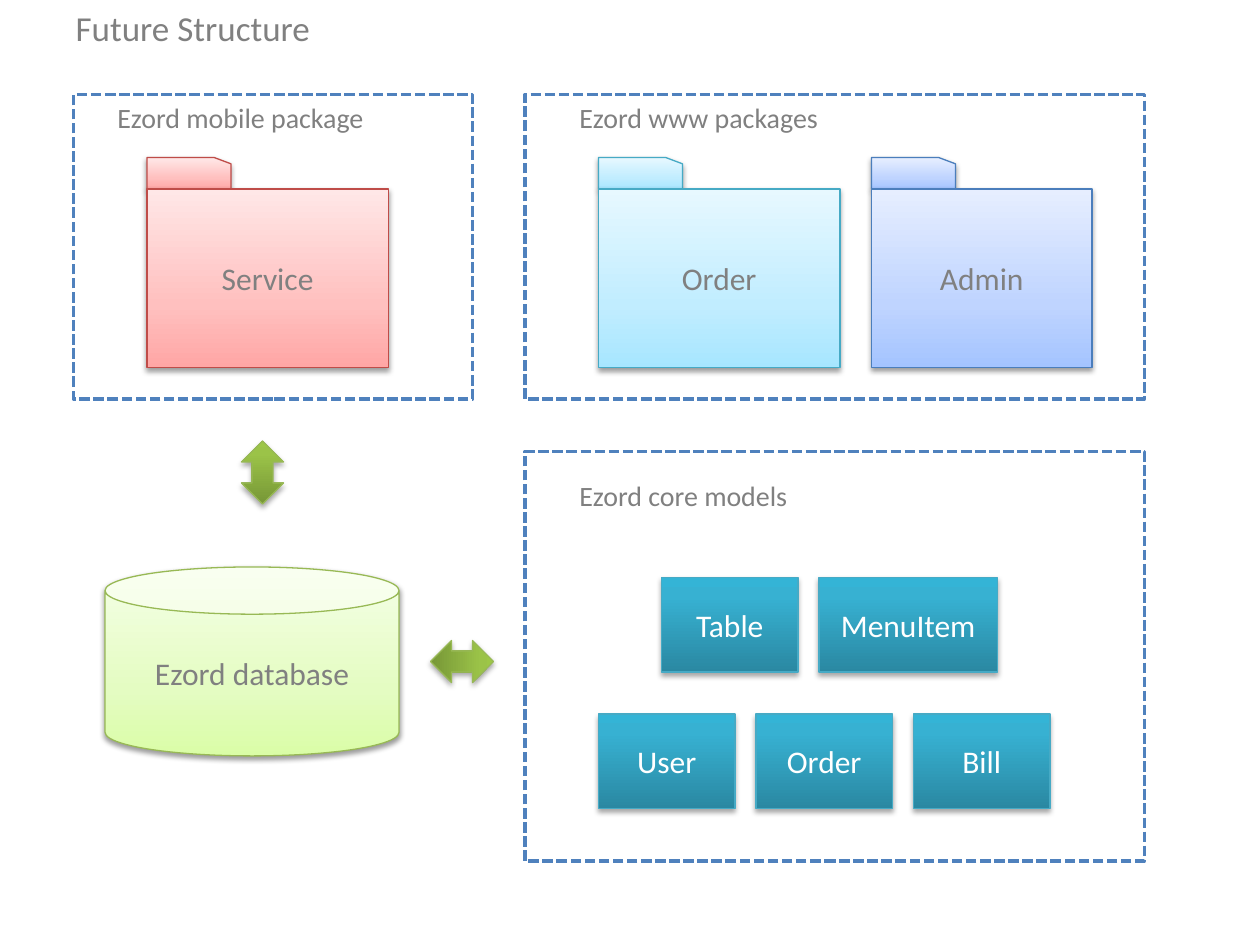
"""Build the Future Structure slide: packages, database and core models."""
import pptx
import pptx.dml.color
import pptx.enum.dml
import pptx.enum.shapes
import pptx.enum.text
import pptx.oxml
import pptx.oxml.ns
import pptx.util
from collections import namedtuple

RGBColor = pptx.dml.color.RGBColor
Shape = pptx.enum.shapes.MSO_SHAPE
Align = pptx.enum.text.PP_ALIGN
Anchor = pptx.enum.text.MSO_ANCHOR
AutoSize = pptx.enum.text.MSO_AUTO_SIZE
Pt = pptx.util.Pt
qn = pptx.oxml.ns.qn

EMU_PER_PX = 9525
FONT = "Calibri"
WHITE = RGBColor(0xFF, 0xFF, 0xFF)
GRAY = RGBColor(0x80, 0x80, 0x80)
FRAME_BLUE = RGBColor(0x4F, 0x81, 0xBD)
BLACK = RGBColor(0, 0, 0)

Style = namedtuple("Style", "stops line shadow_alpha shadow_distance")


def soft(bottom, middle, top, line):
    """Return a pale style with its gradient running from bottom to top."""
    return Style(((0, bottom), (35, middle), (100, top)), line, 38, 1.6)


def strong(bottom, middle, top, line):
    """Return a saturated style with its gradient running from bottom to top."""
    return Style(((0, bottom), (80, middle), (100, top)), line, 35, 1.8)


RED = soft(RGBColor(0xFF, 0xA6, 0xA5), RGBColor(0xFF, 0xC0, 0xBF),
           RGBColor(0xFF, 0xE7, 0xE7), RGBColor(0xBF, 0x4C, 0x48))
AQUA = soft(RGBColor(0xA7, 0xE6, 0xFF), RGBColor(0xC1, 0xED, 0xFF),
            RGBColor(0xE7, 0xF8, 0xFF), RGBColor(0x46, 0xAA, 0xC5))
BLUE = soft(RGBColor(0xA4, 0xC4, 0xFF), RGBColor(0xBF, 0xD4, 0xFF),
            RGBColor(0xE6, 0xEE, 0xFF), RGBColor(0x4B, 0x7E, 0xBC))
LIME = soft(RGBColor(0xDA, 0xFD, 0xA7), RGBColor(0xE4, 0xFC, 0xC2),
            RGBColor(0xF5, 0xFF, 0xE7), RGBColor(0x98, 0xB9, 0x55))
TEAL = strong(RGBColor(0x2A, 0x88, 0xA2), RGBColor(0x37, 0xB1, 0xD2),
              RGBColor(0x34, 0xB4, 0xD6), RGBColor(0x46, 0xAA, 0xC5))
GREEN = strong(RGBColor(0x77, 0x97, 0x37), RGBColor(0x9B, 0xC3, 0x48),
               RGBColor(0x9D, 0xC7, 0x46), RGBColor(0x98, 0xB9, 0x55))


def px(*lengths):
    """Turn pixel lengths into EMU."""
    return [pptx.util.Emu(length * EMU_PER_PX) for length in lengths]


def set_text(shape, text, size=18, color=GRAY, align=Align.CENTER,
             anchor=Anchor.MIDDLE, wrap=True, auto_size=AutoSize.NONE):
    """Write one formatted paragraph into a shape."""
    frame = shape.text_frame
    frame.word_wrap = wrap
    frame.auto_size = auto_size
    frame.vertical_anchor = anchor
    paragraph = frame.paragraphs[0]
    paragraph.alignment = align
    run = paragraph.add_run()
    run.text = text
    run.font.name = FONT
    run.font.size = Pt(size)
    run.font.color.rgb = color


def add_child(parent, tag, **attributes):
    """Append an XML element with attributes and return it."""
    child = pptx.oxml.parse_xml(f"<{tag} {pptx.oxml.ns.nsdecls('a')}/>")
    for name, value in attributes.items():
        child.set(name, str(value))
    parent.append(child)
    return child


def apply_style(shape, style):
    """Give a shape its gradient, outline and soft shadow."""
    shape.fill.gradient()
    shape.fill.gradient_angle = 90
    properties = shape.element.spPr
    stops = properties.find(qn("a:gradFill")).find(qn("a:gsLst"))
    for stop in list(stops):
        stops.remove(stop)
    for position, color in style.stops:
        stop = add_child(stops, "a:gs", pos=position * 1000)
        add_child(stop, "a:srgbClr", val=color)
    shape.line.color.rgb = style.line
    shape.line.width = Pt(0.75)
    shape.shadow.inherit = False
    shadow = add_child(properties.find(qn("a:effectLst")), "a:outerShdw",
                       blurRad=Pt(3.1), dist=Pt(style.shadow_distance),
                       dir=90 * 60000, rotWithShape=0)
    color = add_child(shadow, "a:srgbClr", val=BLACK)
    add_child(color, "a:alpha", val=style.shadow_alpha * 1000)


def add_styled(shapes, kind, box, style):
    """Add a preset shape with a gradient style."""
    shape = shapes.add_shape(kind, *px(*box))
    apply_style(shape, style)
    return shape


def add_frame(slide, *box):
    """Add a white frame with a dashed outline."""
    frame = slide.shapes.add_shape(Shape.RECTANGLE, *px(*box))
    frame.shadow.inherit = False
    frame.fill.solid()
    frame.fill.fore_color.rgb = WHITE
    frame.line.color.rgb = FRAME_BLUE
    frame.line.width = Pt(2)
    frame.line.dash_style = pptx.enum.dml.MSO_LINE.SQUARE_DOT


def add_caption(slide, text, left, top, width, wrap=True):
    """Add the caption of a frame."""
    caption = slide.shapes.add_textbox(*px(left, top, width, 36))
    set_text(caption, text, size=16, align=Align.LEFT, anchor=Anchor.TOP,
             wrap=wrap, auto_size=AutoSize.SHAPE_TO_FIT_TEXT)


def add_folder(slide, text, left, width, style, top=120):
    """Add a grouped folder made of a tab and a labelled body."""
    group = slide.shapes.add_group_shape()
    tab = add_styled(group.shapes, Shape.FLOWCHART_CARD, (left, top, 64, 24), style)
    tab.element.spPr.find(qn("a:xfrm")).set("flipH", "1")
    body = add_styled(group.shapes, Shape.RECTANGLE, (left, top + 24, width, 136), style)
    set_text(body, text)


def add_model_row(slide, left, top, models, gap=16):
    """Add a row of evenly spaced model boxes."""
    for text, width in models:
        box = add_styled(slide.shapes, Shape.RECTANGLE, (left, top, width, 72), TEAL)
        set_text(box, text, color=WHITE)
        left += width + gap


def add_arrow(slide, left, top, rotation=0):
    """Add a double-headed block arrow."""
    arrow = add_styled(slide.shapes, Shape.UP_DOWN_ARROW, (left, top, 32, 48), GREEN)
    arrow.rotation = rotation


def add_title(slide, text):
    """Place and format the title placeholder."""
    title = slide.shapes.title
    title.left, title.top, title.width, title.height = px(48, 0, 200, 42)
    set_text(title, text, size=20, align=Align.LEFT, anchor=Anchor.TOP,
             wrap=False, auto_size=AutoSize.SHAPE_TO_FIT_TEXT)


def main():
    """Build and save the presentation."""
    presentation = pptx.Presentation()
    presentation.slide_width, presentation.slide_height = px(960, 720)
    slide = presentation.slides.add_slide(presentation.slide_layouts[5])
    add_title(slide, "Future Structure")

    add_frame(slide, 56, 72, 304, 232)
    add_caption(slide, "Ezord mobile package", 80, 72, 224)
    add_folder(slide, "Service", 112, 184, RED)

    add_frame(slide, 400, 72, 472, 232)
    add_caption(slide, "Ezord www packages", 432, 72, 240)
    add_folder(slide, "Order", 456, 184, AQUA)
    add_folder(slide, "Admin", 664, 168, BLUE)

    add_frame(slide, 400, 344, 472, 312)
    add_caption(slide, "Ezord core models", 432, 360, 180, wrap=False)
    add_model_row(slide, 504, 440, [("Table", 104), ("MenuItem", 136)])
    add_model_row(slide, 456, 544, [("User", 104), ("Order", 104), ("Bill", 104)])

    database = add_styled(slide.shapes, Shape.CAN, (80, 432, 224, 144), LIME)
    set_text(database, "Ezord database")
    add_arrow(slide, 184, 336)
    add_arrow(slide, 336, 480, rotation=90)
    presentation.save("out.pptx")


if __name__ == "__main__":
    main()
